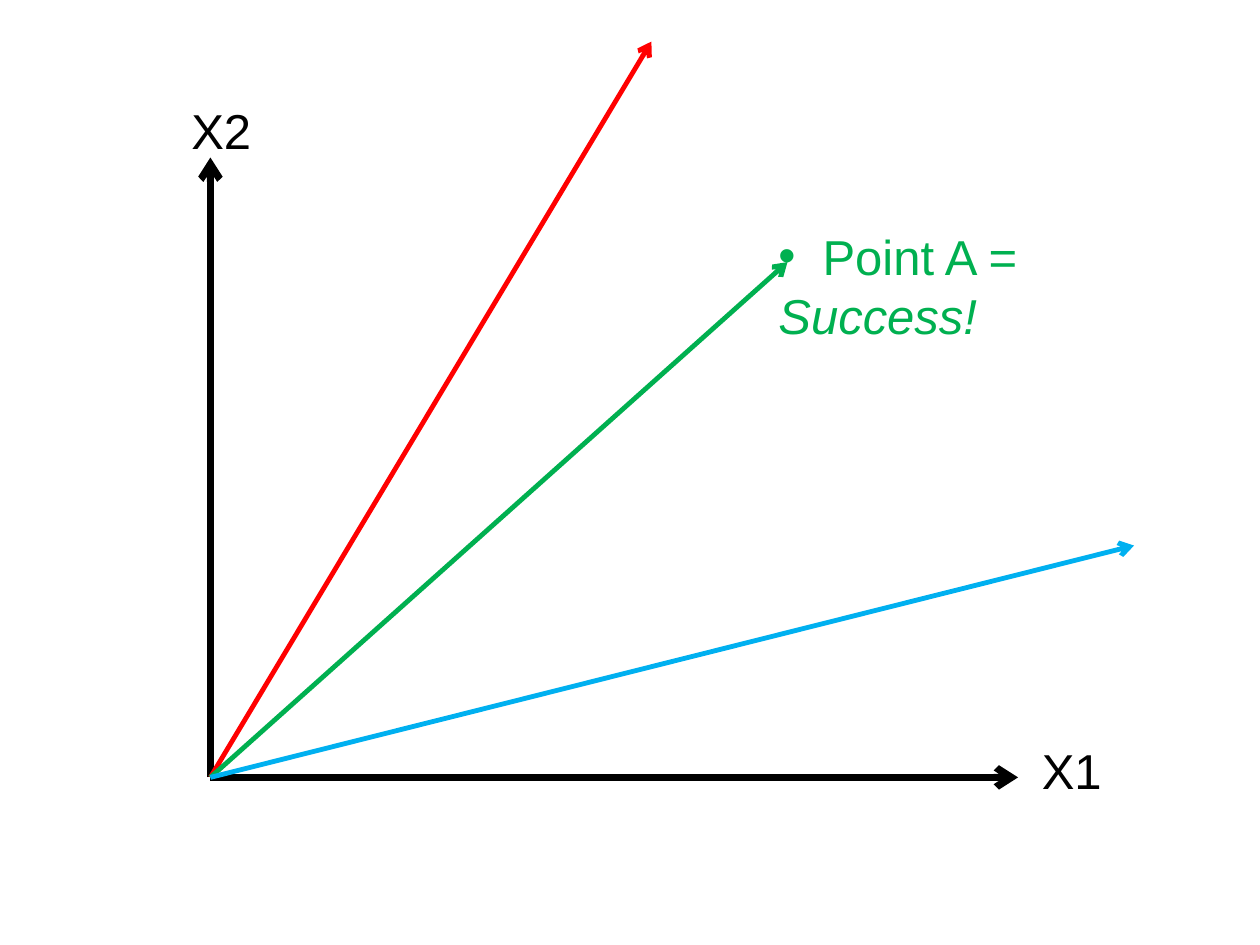
from pptx import Presentation
from pptx.dml.color import RGBColor as RGB
from pptx.enum.shapes import MSO_CONNECTOR as Conn
from pptx.enum.text import MSO_AUTO_SIZE as Auto
from pptx.oxml.ns import qn
from pptx.util import Inches, Pt
from lxml.etree import SubElement as Sub

INK = {"axis": "000000", "red": "FF0000", "green": "00B050", "blue": "00B0F0"}
ZERO = (1.67, 6.17)


def add_run(para, text, ink="axis", size=28, italic=None):
    run = para.add_run()
    run.text = text
    font = run.font
    font.name, font.size, font.italic = "Arial", Pt(size), italic
    font.color.rgb = RGB.from_string(INK[ink])


class Plot:
    def __init__(self, slide):
        self.slide = slide

    def arrow(self, tip, ink, width=2.75):
        """Draw an arrow from the origin to the tip."""
        ends = [Inches(v) for v in ZERO + tip]
        link = self.slide.shapes.add_connector(Conn.STRAIGHT, *ends)
        link.line.color.rgb = RGB.from_string(INK[ink])
        link.line.width = Pt(width)
        Sub(link.line._get_or_add_ln(), qn("a:tailEnd"), type="arrow")
        Sub(link._element.spPr, qn("a:effectLst"))

    def label(self, box, *runs, bullet=False):
        """Place a text box; each run is a text and its format."""
        area = self.slide.shapes.add_textbox(*[Inches(v) for v in box])
        frame = area.text_frame
        frame.word_wrap = True
        frame.auto_size = Auto.SHAPE_TO_FIT_TEXT
        para = frame.paragraphs[0]
        if bullet:
            props = para._p.get_or_add_pPr()
            props.set("marL", "0")
            props.set("indent", "0")
            Sub(props, qn("a:buFont"), typeface="Arial")
            Sub(props, qn("a:buChar"), char="•")
            tabs = Sub(props, qn("a:tabLst"))
            Sub(tabs, qn("a:tab"), pos=str(Inches(0.35)), algn="l")
        for text, style in runs:
            add_run(para, text, **style)


def main():
    deck = Presentation()
    deck.slide_width, deck.slide_height = Inches(10), Inches(7.5)
    plot = Plot(deck.slides.add_slide(deck.slide_layouts[6]))

    # Axes
    plot.arrow((1.67, 1.25), "axis", 4)
    plot.arrow((8.08, 6.17), "axis", 4)

    # Vectors
    plot.arrow((5.17, 0.33), "red")
    plot.arrow((6.25, 2.08), "green")

    # Labels
    plot.label((1.42, 0.75, 0.92, 0.57), ("X2", {}))
    plot.label((8.17, 5.83, 1.08, 0.58), ("X1", {}))
    plot.label((6.08, 1.75, 3.39, 0.57),
               ("\tPoint A = ", {"ink": "green"}),
               ("Success!", {"ink": "green", "italic": True}), bullet=True)

    # Last vector, on top
    plot.arrow((9, 4.33), "blue")

    deck.save("out.pptx")


if __name__ == "__main__":
    main()
